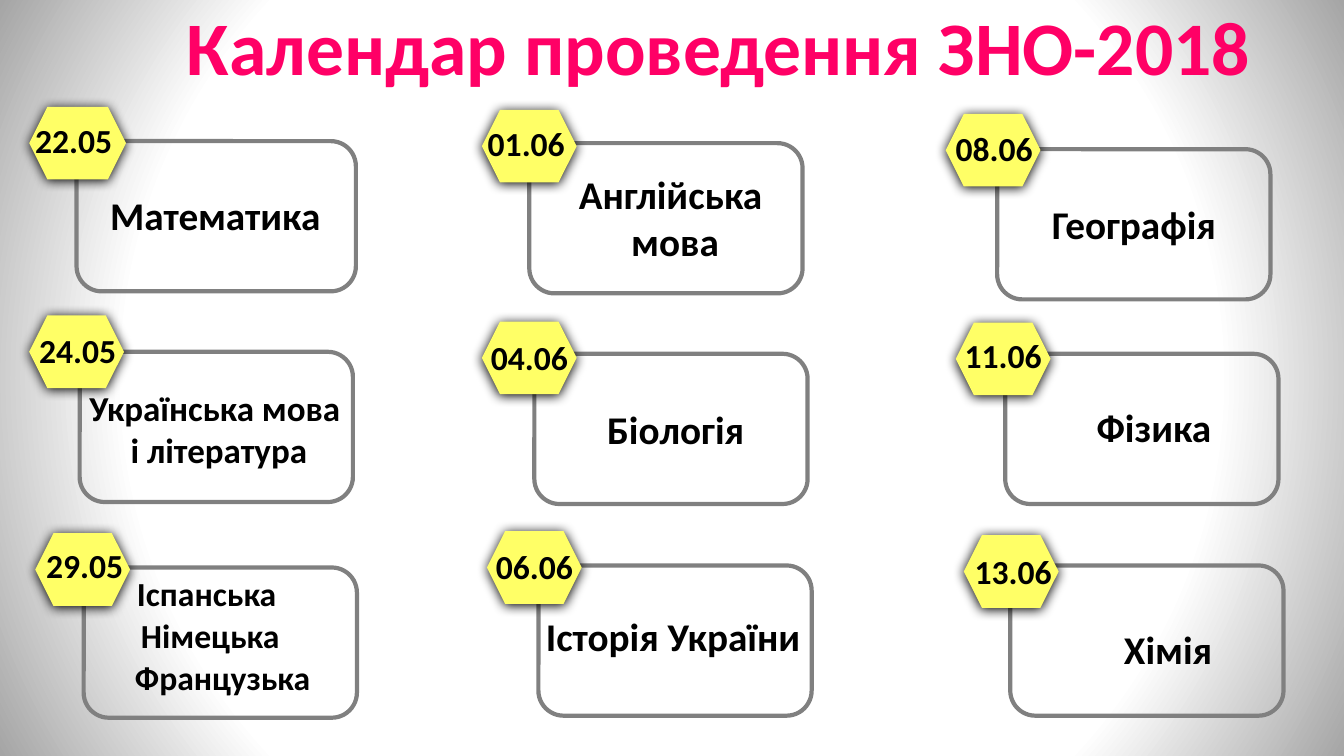
from dataclasses import dataclass

from pptx import Presentation
from pptx.dml.color import RGBColor
from pptx.enum.shapes import MSO_SHAPE
from pptx.enum.text import MSO_AUTO_SIZE, PP_ALIGN
from pptx.oxml import parse_xml
from pptx.oxml.ns import nsdecls, qn
from pptx.shapes.autoshape import Shape
from pptx.slide import Slide
from pptx.util import Inches, Pt

BLACK = RGBColor(0x00, 0x00, 0x00)
GREY = RGBColor(0x80, 0x80, 0x80)
YELLOW = RGBColor(0xFF, 0xFF, 0x66)
PINK = RGBColor(0xFF, 0x00, 0x66)
FONT = "Calibri"

FRAME_H = 1.49
BADGE_H = 0.72
DATE_W, DATE_H = 0.98, 0.5


@dataclass
class Label:
    text: str
    left: float
    top: float
    width: float
    height: float = 0.57
    size: float = 28
    align: PP_ALIGN = PP_ALIGN.CENTER
    wrap: bool = False
    color: RGBColor = BLACK
    grow: bool = True


@dataclass
class Exam:
    date: str
    frame: tuple[float, float]
    badge: tuple[float, float]
    date_at: tuple[float, float]
    subjects: list[Label]
    frame_w: float = 2.71
    badge_w: float = 0.94


TITLE = Label("Календар проведення ЗНО-2018", 1.61, 0.05, 11.04, 1.17, 54,
              wrap=True, color=PINK, grow=False)

EXAMS = [
    Exam("22.05", (0.76, 1.4), (0.29, 1.06), (0.24, 1.14),
         [Label("Математика", 0.98, 1.85, 2.31)], 2.77, 0.96),
    Exam("24.05", (0.79, 3.49), (0.29, 3.13), (0.28, 3.22),
         [Label("Українська мова \nі література", 0.77, 3.79, 2.8, 0.94, 25)]),
    Exam("29.05", (0.83, 5.63), (0.35, 5.29), (0.35, 5.36),
         [Label("Іспанська", 1.25, 5.63, 1.6, 0.5, 24),
          Label("Німецька", 1.29, 6.05, 1.59, 0.5, 24),
          Label("Французька", 1.24, 6.47, 2.01, 0.5, 24, PP_ALIGN.LEFT, True)]),
    Exam("01.06", (5.25, 1.42), (4.78, 1.09), (4.73, 1.17),
         [Label("Англійська \nмова", 5.63, 1.64, 2.13, 1.04)]),
    Exam("04.06", (5.3, 3.51), (4.78, 3.19), (4.76, 3.29),
         [Label("Біологія", 5.91, 3.97, 1.57, align=PP_ALIGN.RIGHT)]),
    Exam("06.06", (5.34, 5.61), (4.83, 5.27), (4.81, 5.37),
         [Label("Історія України", 5.3, 6.03, 2.75)]),
    Exam("08.06", (9.89, 1.48), (9.38, 1.13), (9.37, 1.22),
         [Label("Географія", 10.32, 1.94, 1.85)]),
    Exam("11.06", (9.97, 3.51), (9.48, 3.2), (9.46, 3.27),
         [Label("Фізика", 10.77, 3.95, 1.35)]),
    Exam("13.06", (10.02, 5.61), (9.56, 5.31), (9.56, 5.42),
         [Label("Хімія", 11.04, 6.15, 1.09)]),
]


def set_background(s: Slide) -> None:
    stops = "".join(
        f'<a:gs pos="{pos}"><a:srgbClr val="{color}"/></a:gs>'
        for pos, color in ((0, "FFFFFF"), (71000, "FFFFFF"), (100000, "A5A5A5")))
    s.element.cSld.insert(0, parse_xml(
        f'<p:bg {nsdecls("p", "a")}><p:bgPr><a:gradFill rotWithShape="1">'
        f'<a:gsLst>{stops}</a:gsLst><a:path path="circle">'
        '<a:fillToRect l="50000" t="50000" r="50000" b="50000"/></a:path>'
        '</a:gradFill><a:effectLst/></p:bgPr></p:bg>'))


def add_label(s: Slide, label: Label) -> Shape:
    sp = s.shapes.add_textbox(Inches(label.left), Inches(label.top),
                              Inches(label.width), Inches(label.height))
    tf = sp.text_frame
    tf.text = label.text
    tf.word_wrap = label.wrap
    tf.auto_size = (MSO_AUTO_SIZE.SHAPE_TO_FIT_TEXT if label.grow
                    else MSO_AUTO_SIZE.NONE)
    for p in tf.paragraphs:
        p.alignment = label.align
        for r in p.runs:
            r.font.name = FONT
            r.font.size = Pt(label.size)
            r.font.bold = True
            r.font.color.rgb = label.color
    return sp


def add_box(s: Slide, kind: MSO_SHAPE, at: tuple[float, float],
            width: float, height: float) -> Shape:
    sp = s.shapes.add_shape(kind, Inches(at[0]), Inches(at[1]),
                            Inches(width), Inches(height))
    sp.shadow.inherit = False
    return sp


def add_exam(s: Slide, exam: Exam) -> None:
    # Subject frame
    frame = add_box(s, MSO_SHAPE.ROUNDED_RECTANGLE, exam.frame, exam.frame_w, FRAME_H)
    frame.fill.background()
    frame.line.color.rgb = GREY
    frame.line.width = Pt(3)

    # Date badge with a soft shadow
    badge = add_box(s, MSO_SHAPE.HEXAGON, exam.badge, exam.badge_w, BADGE_H)
    badge.fill.solid()
    badge.fill.fore_color.rgb = YELLOW
    badge.line.fill.background()
    badge.element.spPr.find(qn("a:effectLst")).append(parse_xml(
        f'<a:outerShdw {nsdecls("a")} blurRad="{Pt(8.5)}" dist="{Pt(1)}" '
        'dir="5400000" algn="t" rotWithShape="0"><a:srgbClr val="000000"/></a:outerShdw>'))

    # Texts
    add_label(s, Label(exam.date, *exam.date_at, DATE_W, DATE_H, 24, wrap=True))
    for subject in exam.subjects:
        add_label(s, subject)


def main() -> None:
    prs = Presentation()
    prs.slide_width, prs.slide_height = Inches(13.33), Inches(7.5)
    s = prs.slides.add_slide(prs.slide_layouts[6])
    set_background(s)
    title = add_label(s, TITLE)
    title.text_frame.paragraphs[0].line_spacing = 0.9
    for exam in EXAMS:
        add_exam(s, exam)
    prs.save("out.pptx")


if __name__ == "__main__":
    main()
